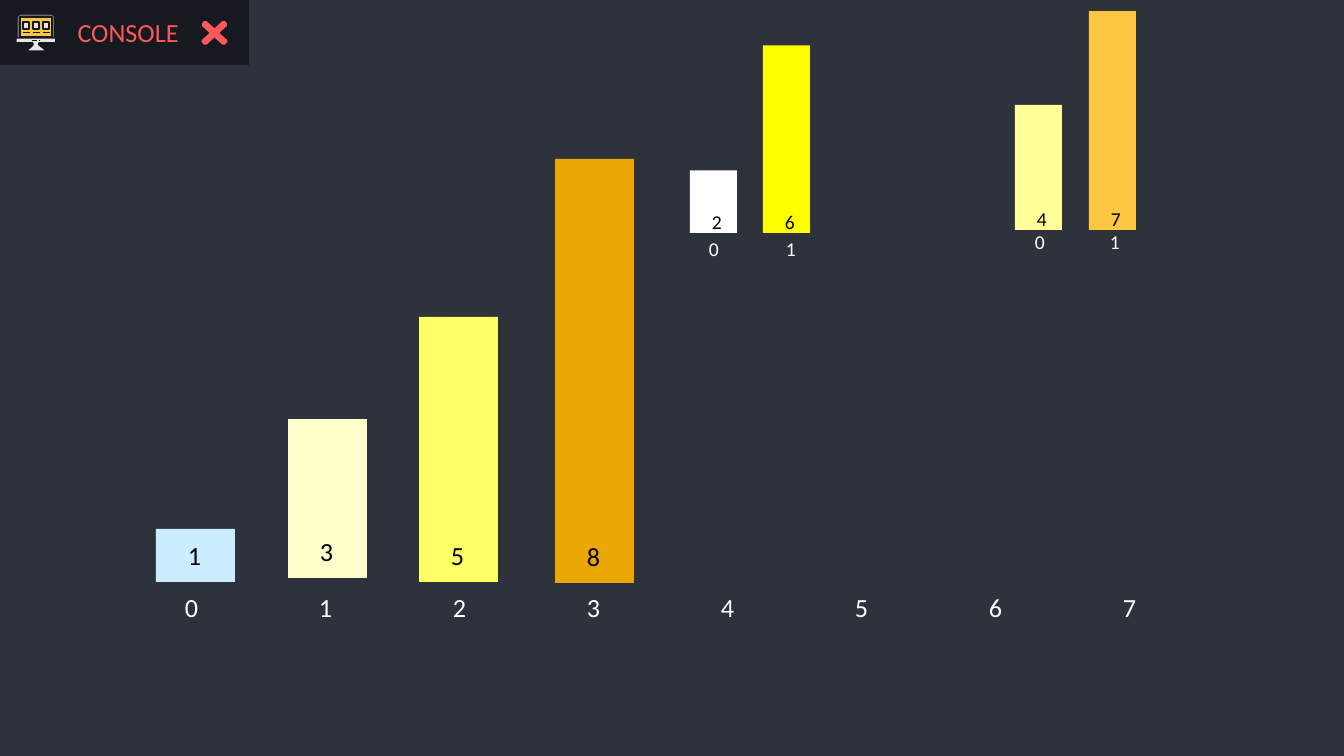
import pptx
import pptx.util
import pptx.dml.color
import pptx.enum.shapes
import pptx.enum.text

SCALE = 9144000 / 1344  # EMU in one px
SHAPES = pptx.enum.shapes.MSO_SHAPE

COLORS = {
    "page": "2E323B", "tab": "16191F", "red": "FF5858", "frame": "707070",
    "amber": "FCC642", "light": "E7E7E7", "white": "FFFFFF", "black": "000000",
    "ice": "CCECFF", "cream": "FFFFCC", "lemon": "FFFF66", "orange": "EBA804",
    "pale": "FFFF99", "yellow": "FFFF00",
}

# Bar sizes: px per unit of value, bar width, then the label measures
LARGE = {"unit": 53, "width": 79, "label": (42, 46), "shift": 19, "rise": 49,
         "inset": 13, "size": 14}
SMALL = {"unit": 31.25, "width": 47, "label": (24, 38), "shift": 11, "rise": 30,
         "inset": 11, "size": 10.5}

# Bars: style, value, left, bottom, colour
BARS = [
    (SMALL, 2, 690, 233, "white"), (SMALL, 4, 1015, 230, "pale"),
    (SMALL, 6, 763, 233, "yellow"), (SMALL, 7, 1089, 230, "amber"),
    (LARGE, 1, 156, 582, "ice"), (LARGE, 3, 288, 578, "cream"),
    (LARGE, 5, 419, 582, "lemon"), (LARGE, 8, 555, 583, "orange"),
]

# Index rows: style, count, left, top, step
INDEX_ROWS = [(SMALL, 2, 698, 230, 77), (SMALL, 2, 1024, 223, 75),
              (LARGE, 8, 172, 585, 134)]

STAND = [(16, 38), (56, 38), (56, 43), (39, 43), (39, 45), (43, 48),
         (46, 51), (26, 51), (30, 48), (33, 45), (33, 43), (16, 43)]


def px(length):
    return pptx.util.Emu(round(length * SCALE))


def color(name):
    return pptx.dml.color.RGBColor.from_string(COLORS[name])


def paint(shape, fill, line=None, weight=0.75):
    shape.shadow.inherit = False
    shape.fill.solid()
    shape.fill.fore_color.rgb = color(fill)
    if line:
        shape.line.color.rgb = color(line)
        shape.line.width = pptx.util.Pt(weight)
    else:
        shape.line.fill.background()
    return shape


def add_block(left, top, width, height, fill, line=None, weight=0.75,
              kind=SHAPES.RECTANGLE):
    shape = page.shapes.add_shape(kind, px(left), px(top), px(width), px(height))
    return paint(shape, fill, line, weight)


def add_span(para, text, size, ink, font="Calibri"):
    span = para.add_run()
    span.text = text
    span.font.size = pptx.util.Pt(size)
    span.font.name = font
    span.font.color.rgb = color(ink)


def add_label(style, number, left, top, ink):
    width, height = style["label"]
    box = page.shapes.add_textbox(px(left), px(top), px(width), px(height))
    frame = box.text_frame
    frame.word_wrap = False
    frame.margin_left, frame.margin_right = px(style["inset"]), 0
    add_span(frame.paragraphs[0], str(number), style["size"], ink)


deck = pptx.Presentation()
deck.slide_width, deck.slide_height = px(1344), px(756)
page = deck.slides.add_slide(deck.slide_layouts[6])
page.background.fill.solid()
page.background.fill.fore_color.rgb = color("page")

# Console tab
tab = add_block(0, 0, 249, 65, "tab")
tab.text_frame.vertical_anchor = pptx.enum.text.MSO_ANCHOR.MIDDLE
title = tab.text_frame.paragraphs[0]
title.alignment = pptx.enum.text.PP_ALIGN.CENTER
add_span(title, " ", 14, "red", "Arial")
add_span(title, "CONSOLE", 14, "red")

# Monitor icon: frame, screen, stand, three windows with a dash below each
add_block(17, 14, 38, 24, "frame", "tab", kind=SHAPES.ROUND_2_SAME_RECTANGLE)
add_block(20, 17, 32, 20, "amber", "tab")
outline = page.shapes.build_freeform(*STAND[0], scale=SCALE)
outline.add_line_segments(STAND[1:], close=True)
paint(outline.convert_to_shape(), "light", "tab")
for column in range(3):
    left = 23 + 10 * column
    add_block(left, 22, 6, 7, "light", "tab", 1)
    add_block(left, 32, 7, 1, "tab")
add_block(32, 40, 5, 1, "tab")
add_block(39, 40, 1, 1, "tab", kind=SHAPES.OVAL)

# Close mark
cross = add_block(195, 15, 39, 36, "red", "red", 2, SHAPES.MATH_MULTIPLY)
cross.adjustments[0] = 0.08

# Bars with their values
for style, value, left, bottom, fill in BARS:
    height = value * style["unit"]
    add_block(left, bottom - height, style["width"], height, fill)
    add_label(style, value, left + style["shift"], bottom - style["rise"], "black")

# Index numbers
for style, count, left, top, step in INDEX_ROWS:
    for index in range(count):
        add_label(style, index, left + step * index, top, "white")

deck.save("out.pptx")
